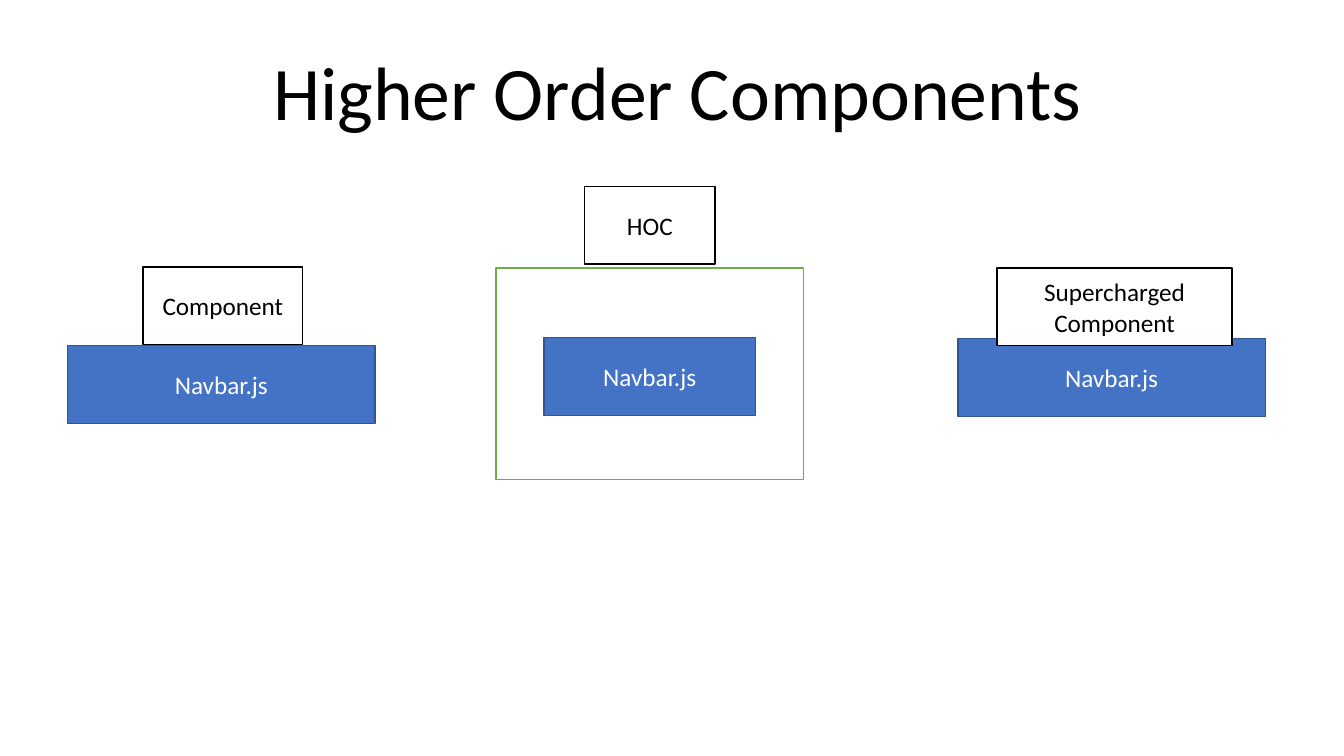
from pptx import Presentation
from pptx.dml.color import RGBColor
from pptx.enum.shapes import MSO_SHAPE as Shape
from pptx.enum.text import MSO_ANCHOR as Anchor, PP_ALIGN as Align
from pptx.util import Inches, Pt

COLORS = {
    "black": "000000",
    "white": "FFFFFF",
    "blue": "4472C4",
    "navy": "325491",
    "green": "70AD47",
}
FONT = "Calibri"
ROW_HEIGHT = 0.77
COLUMN_WIDTH = 3.05


def color(name):
    return RGBColor.from_string(COLORS[name])


def place(shape, left, top, width, height):
    shape.left, shape.top = Inches(left), Inches(top)
    shape.width, shape.height = Inches(width), Inches(height)


def write(shape, text, size, ink, anchor):
    frame = shape.text_frame
    frame.word_wrap = True
    frame.vertical_anchor = anchor
    paragraph = frame.paragraphs[0]
    paragraph.text = text
    paragraph.alignment = Align.CENTER
    paragraph.font.name = FONT
    paragraph.font.size = Pt(size)
    paragraph.font.color.rgb = color(ink)
    return paragraph


def add_box(slide, box, fill, line, text=None, ink="black"):
    rectangle = slide.shapes.add_shape(Shape.RECTANGLE, *map(Inches, box))
    rectangle.shadow.inherit = False
    rectangle.fill.solid()
    rectangle.fill.fore_color.rgb = color(fill)
    rectangle.line.color.rgb = color(line)
    rectangle.line.width = Pt(1)
    if text:
        write(rectangle, text, 18, ink, Anchor.MIDDLE)


def add_navbar(slide, left, top, width):
    add_box(slide, (left, top, width, ROW_HEIGHT), "blue", "navy", "Navbar.js", "white")


def add_label(slide, left, top, width, text):
    add_box(slide, (left, top, width, ROW_HEIGHT), "white", "black", text)


def add_title(slide, left, top, width, height):
    title = slide.shapes.title
    place(title, left, top, width, height)
    heading = write(title, "Higher Order Components", 54, "black", Anchor.BOTTOM)
    heading.line_spacing = 0.9


def add_component(slide, left, top, label, label_left, label_width, navbar_drop):
    add_navbar(slide, left, top + navbar_drop, COLUMN_WIDTH)
    add_label(slide, left + label_left, top, label_width, label)


def add_hoc(slide, left, top, height):
    label_width, navbar_width = 1.29, 2.1
    add_box(slide, (left, top, COLUMN_WIDTH, height), "white", "green")
    add_navbar(slide, left + (COLUMN_WIDTH - navbar_width) / 2, top + 0.69, navbar_width)
    add_label(slide, left + (COLUMN_WIDTH - label_width) / 2, top - 0.81, label_width, "HOC")


presentation = Presentation()
presentation.slide_width = Inches(13.33)
presentation.slide_height = Inches(7.5)
slide = presentation.slides.add_slide(presentation.slide_layouts[5])

add_title(slide, 0.67, 0.64, 12.1, 0.77)
add_component(slide, 0.67, 2.65, "Component", 0.75, 1.58, 0.78)
add_hoc(slide, 4.92, 2.66, 2.1)
add_component(slide, 9.5, 2.66, "Supercharged Component", 0.39, 2.33, 0.7)

presentation.save("out.pptx")
